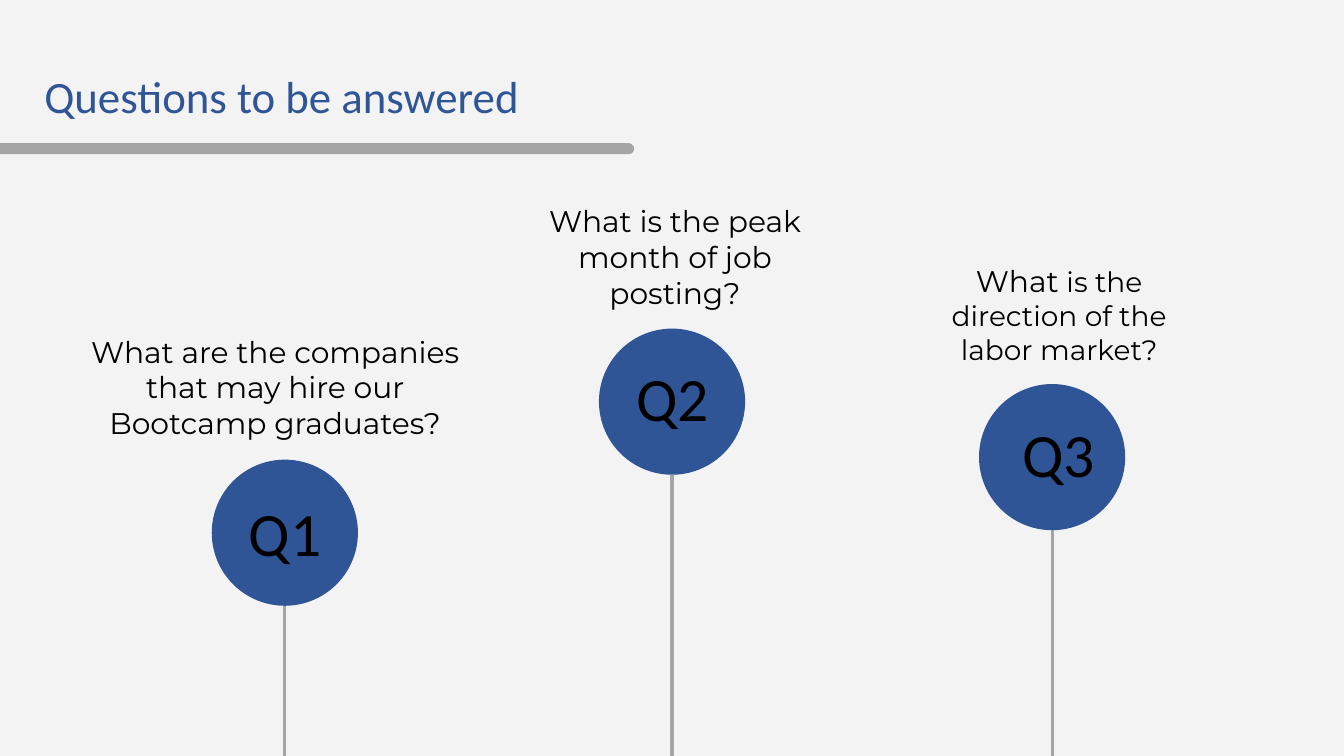
from pptx import Presentation
from pptx.dml.color import RGBColor
from pptx.enum.shapes import MSO_CONNECTOR, MSO_SHAPE
from pptx.enum.text import MSO_ANCHOR as ANCHOR, MSO_AUTO_SIZE, PP_ALIGN as ALIGN
from pptx.oxml.ns import qn
from pptx.util import Inches, Pt

BLUE = RGBColor(0x2F, 0x55, 0x97)
GREY = RGBColor(0xA5, 0xA5, 0xA5)
BLACK = RGBColor(0, 0, 0)
PALE = RGBColor(0xF3, 0xF3, 0xF3)

SLIDE_W, SLIDE_H = 13.33, 7.5
CIRCLE = 1.45
LABEL_W, LABEL_H = 1.86, 0.84

# Circle corner, label offset from that corner, question box, question runs
QUESTIONS = [
    ("Q1", (2.1, 4.56), (-0.2, 0.34), (0.51, 3.31, 4.44, 1.19),
     [("What are the companies that may hire our Bootcamp graduates?", 21.3)]),
    ("Q2", (5.94, 3.26), (-0.2, 0.3), (5.09, 1.8, 3.21, 1.41),
     [("What is the peak month of job posting?", 21.3)]),
    ("Q3", (9.71, 3.81), (-0.14, 0.31), (9.01, 2.46, 2.99, 1.3),
     [("What ", 21.3), ("is the direction of the labor market?", 20)]),
]


def write(sp, runs, font, color, align, anchor, spacing=1.0):
    tf = sp.text_frame
    tf.word_wrap = True
    tf.auto_size = MSO_AUTO_SIZE.NONE
    tf.vertical_anchor = anchor
    tf.margin_left = tf.margin_right = tf.margin_top = tf.margin_bottom = Inches(0.13)
    p = tf.paragraphs[0]
    p.alignment = align
    p.line_spacing = spacing
    for text, size in runs:
        r = p.add_run()
        r.text = text
        r.font.name = font
        r.font.size = Pt(size)
        r.font.color.rgb = color


def add_filled(s, shape, box, color):
    sp = s.shapes.add_shape(shape, *map(Inches, box))
    sp.shadow.inherit = False
    sp.fill.solid()
    sp.fill.fore_color.rgb = color
    sp.line.fill.background()
    return sp


def add_heading(s, x, y, w, h):
    title = s.shapes.title
    title.left, title.top, title.width, title.height = map(Inches, (x, y, w, h))
    write(title, [("Questions to be answered", 32)], "Calibri", BLUE,
          ALIGN.LEFT, ANCHOR.TOP, 0.9)
    # Rounded underline running in from the left edge
    bar = add_filled(s, MSO_SHAPE.ROUNDED_RECTANGLE, (-1.21, y + h, 7.5, 0.11), GREY)
    bar.adjustments[0] = 0.5


def add_question(s, label, corner, offset, box, runs):
    x, y = corner
    # Stem down to the bottom edge
    mid = Inches(x + CIRCLE / 2)
    stem = s.shapes.add_connector(MSO_CONNECTOR.STRAIGHT, mid, Inches(y + CIRCLE),
                                  mid, Inches(SLIDE_H))
    stem.line.color.rgb = GREY
    stem.line.width = Pt(2.25)
    sp_pr = stem._element.spPr
    sp_pr.append(sp_pr.makeelement(qn("a:effectLst"), {}))

    # Circle with its label
    add_filled(s, MSO_SHAPE.OVAL, (x, y, CIRCLE, CIRCLE), BLUE)
    tag = s.shapes.add_textbox(Inches(x + offset[0]), Inches(y + offset[1]),
                               Inches(LABEL_W), Inches(LABEL_H))
    write(tag, [(label, 44)], "Calibri", BLACK, ALIGN.CENTER, ANCHOR.MIDDLE, 0.9)

    # Question above the circle
    question = s.shapes.add_textbox(*map(Inches, box))
    write(question, runs, "Montserrat", BLACK, ALIGN.CENTER, ANCHOR.BOTTOM)


def main():
    prs = Presentation()
    prs.slide_width, prs.slide_height = Inches(SLIDE_W), Inches(SLIDE_H)
    s = prs.slides.add_slide(prs.slide_layouts[5])
    s.background.fill.solid()
    s.background.fill.fore_color.rgb = PALE
    add_heading(s, 0.31, 0.61, 5.04, 0.81)
    for question in QUESTIONS:
        add_question(s, *question)
    prs.save("out.pptx")


if __name__ == "__main__":
    main()
